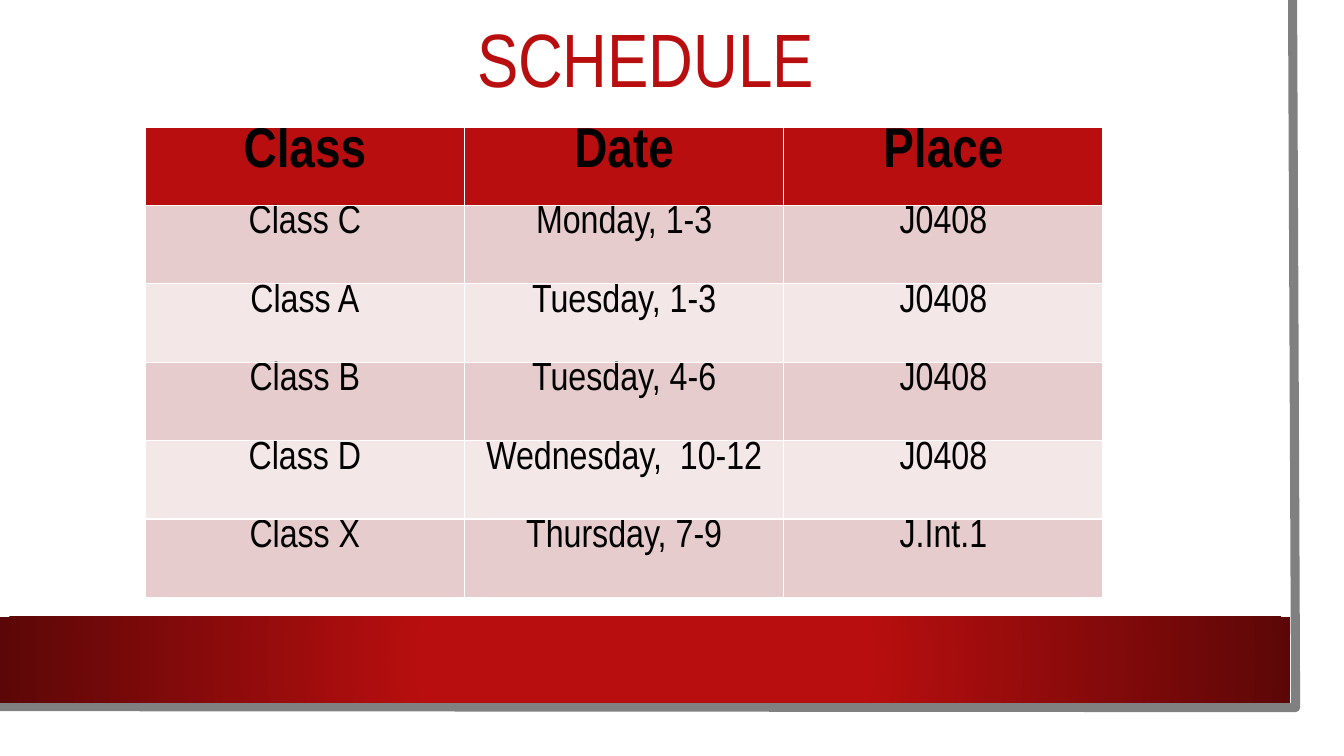
from dataclasses import dataclass

from lxml import etree
from pptx import Presentation
from pptx.dml.color import RGBColor
from pptx.enum import shapes, text
from pptx.oxml import ns
from pptx.util import Inches, Pt

FONT = "Arial Narrow"
RED, DARK, WHITE, GREY, BLACK = "B80E0F", "5C0707", "FFFFFF", "808080", "000000"
BANDS = ("E6CCCC", "F3E7E7")


@dataclass(frozen=True)
class Style:
    size: int
    color: str
    bold: bool = False


@dataclass(frozen=True)
class Slot:
    group: str
    date: str
    place: str = "J0408"


TITLE = Style(54, RED)
HEAD = Style(40, BLACK, True)
BODY = Style(28, BLACK)
SLOTS = (
    Slot("Class", "Date", "Place"),
    Slot("Class C", "Monday, 1-3"),
    Slot("Class A", "Tuesday, 1-3"),
    Slot("Class B", "Tuesday, 4-6"),
    Slot("Class D", "Wednesday,  10-12"),
    Slot("Class X", "Thursday, 7-9", "J.Int.1"),
)


def paint(fill, color: str) -> None:
    fill.solid()
    fill.fore_color.rgb = RGBColor.from_string(color)


def write(frame, words: str, style: Style) -> None:
    para = frame.paragraphs[0]
    para.alignment = text.PP_ALIGN.CENTER
    run = para.add_run()
    run.text = words
    run.font.name = FONT
    run.font.size = Pt(style.size)
    run.font.bold = style.bold
    run.font.color.rgb = RGBColor.from_string(style.color)


def add_rect(slide, left: float, top: float, width: float, height: float):
    rect = slide.shapes.add_shape(
        shapes.MSO_SHAPE.RECTANGLE,
        Inches(left), Inches(top), Inches(width), Inches(height))
    rect.shadow.inherit = False
    rect.line.fill.background()
    paint(rect.fill, WHITE)
    return rect


def glow(rect) -> None:
    """Fill with a radial gradient, red in the middle and dark at the ends."""
    props = rect.element.spPr
    grad = etree.Element(ns.qn("a:gradFill"), rotWithShape="1")
    stops = etree.SubElement(grad, ns.qn("a:gsLst"))
    for pos, color in ((34, RED), (100, DARK)):
        stop = etree.SubElement(stops, ns.qn("a:gs"), pos=str(pos * 1000))
        etree.SubElement(stop, ns.qn("a:srgbClr"), val=color)
    shade = etree.SubElement(grad, ns.qn("a:path"), path="circle")
    etree.SubElement(shade, ns.qn("a:fillToRect"),
                     {side: "50000" for side in "ltrb"})
    props.replace(props.find(ns.qn("a:solidFill")), grad)


def add_frame(slide) -> None:
    add_rect(slide, 0, 0, 13.1, 7.27)
    pen = slide.shapes.build_freeform(Inches(12.82), 0)
    pen.add_line_segments(
        [(Inches(12.85), Inches(7.02)), (Inches(-0.03), Inches(7.01))],
        close=False)
    edge = pen.convert_to_shape()
    edge.shadow.inherit = False
    edge.fill.background()
    paint(edge.line.fill, GREY)
    edge.line.width = Pt(6.5)
    glow(add_rect(slide, 0, 6.12, 12.8, 0.85))


def add_title(slide) -> None:
    title = slide.shapes.title
    slide.shapes.element.append(title.element)  # in front of the frame
    title.left, title.top = Inches(0.72), 0
    title.width, title.height = Inches(11.37), Inches(1.26)
    frame = title.text_frame
    frame.auto_size = text.MSO_AUTO_SIZE.NONE
    frame.vertical_anchor = text.MSO_ANCHOR.MIDDLE
    write(frame, "SCHEDULE", TITLE)
    frame.paragraphs[0].line_spacing = 0.9


def add_plan(slide) -> None:
    table = slide.shapes.add_table(
        len(SLOTS), 3, Inches(1.44), Inches(1.26),
        Inches(9.5), Inches(4.67)).table
    for r, slot in enumerate(SLOTS):
        color = BANDS[(r - 1) % 2] if r else RED
        for c, words in enumerate((slot.group, slot.date, slot.place)):
            cell = table.cell(r, c)
            cell.margin_top = cell.margin_bottom = 0
            paint(cell.fill, color)
            write(cell.text_frame, words, BODY if r else HEAD)


def main() -> None:
    deck = Presentation()
    deck.slide_width, deck.slide_height = Inches(13.33), Inches(7.5)
    slide = deck.slides.add_slide(deck.slide_layouts[5])
    add_frame(slide)
    add_title(slide)
    add_plan(slide)
    deck.save("out.pptx")


if __name__ == "__main__":
    main()
